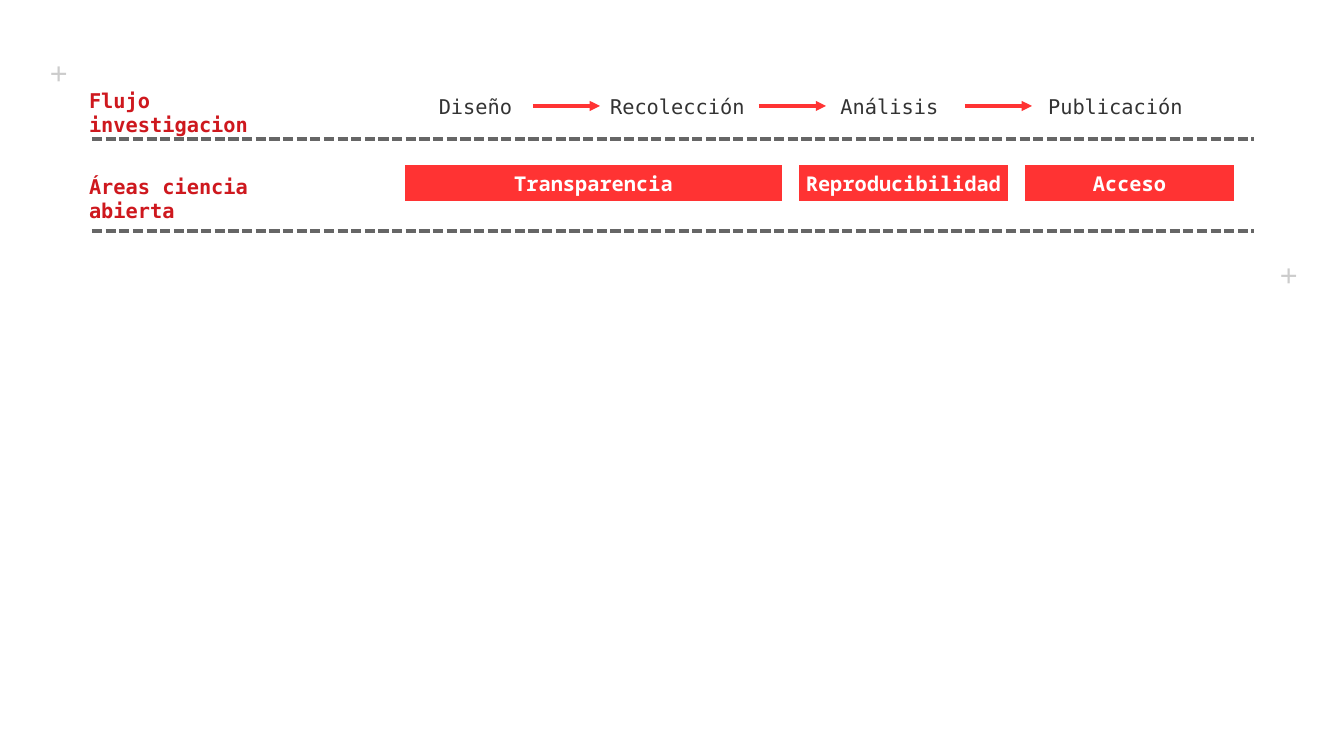
from lxml import etree
from pptx import Presentation
from pptx import util as u
from pptx.dml.color import RGBColor
from pptx.enum import dml, shapes, text
from pptx.oxml.ns import qn

PX = 914400 / 122
WIDTH, HEIGHT = 1344, 756

WHITE = RGBColor(0xFF, 0xFF, 0xFF)
RED = RGBColor(0xFF, 0x33, 0x33)
DARK_RED = RGBColor(0xCE, 0x18, 0x1E)
INK = RGBColor(0x33, 0x33, 0x33)
GREY = RGBColor(0x66, 0x66, 0x66)
LIGHT_GREY = RGBColor(0xCC, 0xCC, 0xCC)

MONO, BAR_MONO, SANS = "DejaVu Sans Mono", "Noto Sans Mono", "Arial"

ROW_LABELS = [
    ("Flujo investigacion", (77, 82, 231, 39)),
    ("Áreas ciencia abierta", (77, 168, 255, 66)),
]
STAGES = [("Diseño", 384), ("Recolección", 586), ("Análisis", 798), ("Publicación", 1024)]
AREAS = [("Transparencia", 404, 379), ("Reproducibilidad", 798, 211), ("Acceso", 1024, 211)]
STAGE_TOP, STAGE_WIDTH, BOX_HEIGHT, AREA_TOP = 87, 183, 38, 164
RULE_LEFT, RULE_RIGHT, RULE_TOPS = 92, 1254, (139, 231)
ARROW_STARTS, ARROW_LENGTH = (533, 759, 965), 67
ARROW_TOP = STAGE_TOP + BOX_HEIGHT // 2
PLUS_CORNERS = [(38, 48), (1268, 250)]
PLUS_WIDTH, PLUS_HEIGHT = 41, 46


def px(*lengths):
    return [u.Emu(round(length * PX)) for length in lengths]


def write(box, words, font_name, size, color, bold=False, wrap=True):
    frame = box.text_frame
    frame.word_wrap = wrap
    para = frame.paragraphs[0]
    para.text = words
    para.font.name = font_name
    para.font.size = u.Pt(size)
    para.font.bold = bold
    para.font.color.rgb = color
    return para


def add_box(page, words, area, fill, font_name, color, bold):
    box = page.shapes.add_shape(shapes.MSO_SHAPE.RECTANGLE, *px(*area))
    box.shadow.inherit = False
    box.fill.solid()
    box.fill.fore_color.rgb = fill
    box.line.color.rgb = WHITE
    box.line.width = 0
    para = write(box, words, font_name, 12, color, bold, wrap=False)
    para.alignment = text.PP_ALIGN.CENTER
    box.text_frame.vertical_anchor = text.MSO_ANCHOR.MIDDLE


def add_line(page, left, right, top, color):
    line = page.shapes.add_connector(
        shapes.MSO_CONNECTOR.STRAIGHT, *px(left, top, right, top))
    line.line.color.rgb = color
    line.line.width = 0
    etree.SubElement(line._element.spPr, qn("a:effectLst"))
    return line


def main():
    deck = Presentation()
    deck.slide_width, deck.slide_height = px(WIDTH, HEIGHT)
    page = deck.slides.add_slide(deck.slide_layouts[6])

    for words, area in ROW_LABELS:
        box = page.shapes.add_textbox(*px(*area))
        write(box, words, MONO, 12, DARK_RED, bold=True)
    for words, left, width in AREAS:
        add_box(page, words, (left, AREA_TOP, width, BOX_HEIGHT), RED, BAR_MONO, WHITE, True)
    for words, left in STAGES:
        add_box(page, words, (left, STAGE_TOP, STAGE_WIDTH, BOX_HEIGHT), WHITE, MONO, INK, False)

    for top in RULE_TOPS:
        rule = add_line(page, RULE_LEFT, RULE_RIGHT, top, GREY)
        rule.line.dash_style = dml.MSO_LINE.SQUARE_DOT
    for left in ARROW_STARTS:
        arrow = add_line(page, left, left + ARROW_LENGTH, ARROW_TOP, RED)
        etree.SubElement(arrow.line._get_or_add_ln(), qn("a:tailEnd"), type="triangle")

    for corner in PLUS_CORNERS:
        box = page.shapes.add_textbox(*px(*corner, PLUS_WIDTH, PLUS_HEIGHT))
        write(box, "+", SANS, 18, LIGHT_GREY, wrap=False)

    deck.save("out.pptx")


if __name__ == "__main__":
    main()
